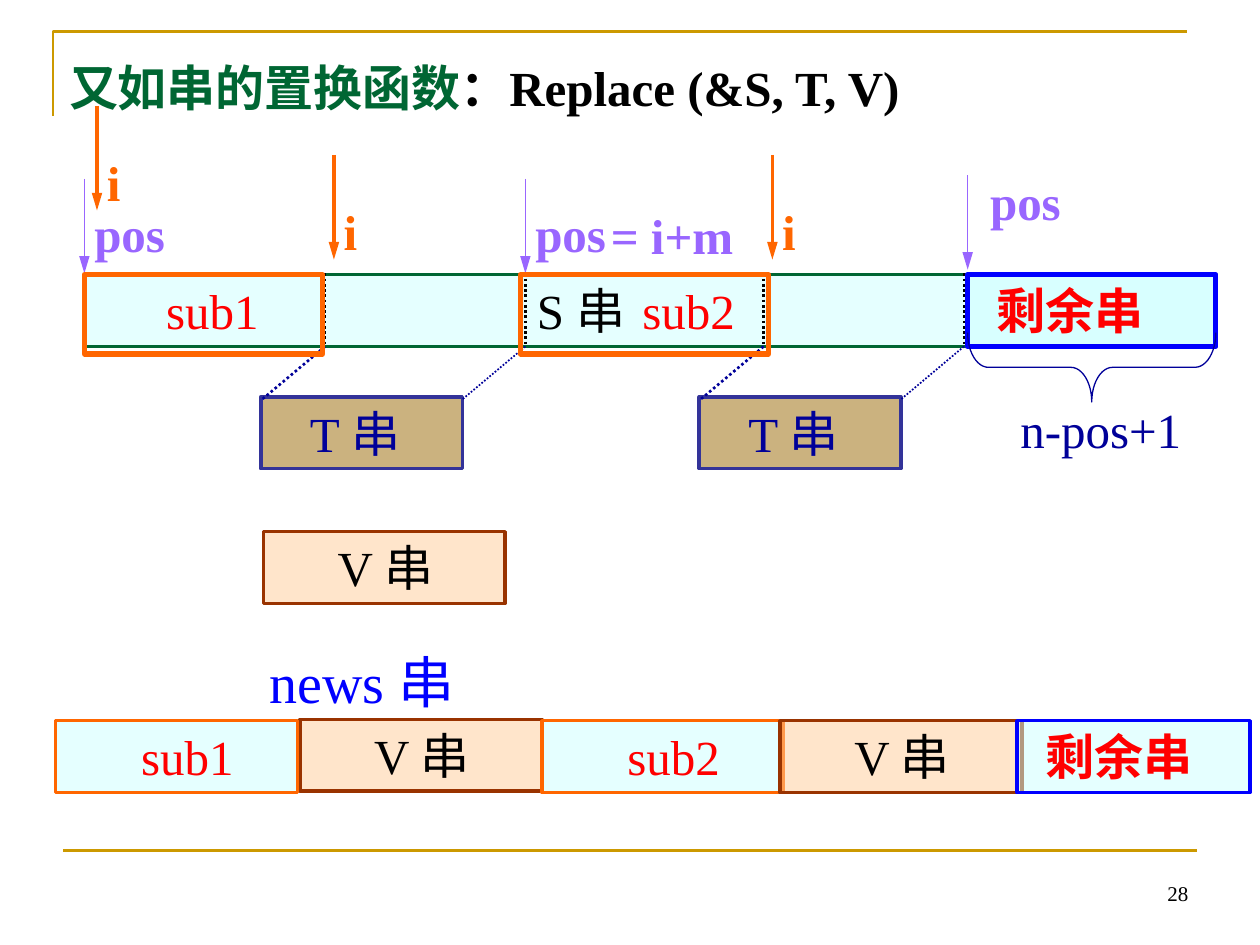
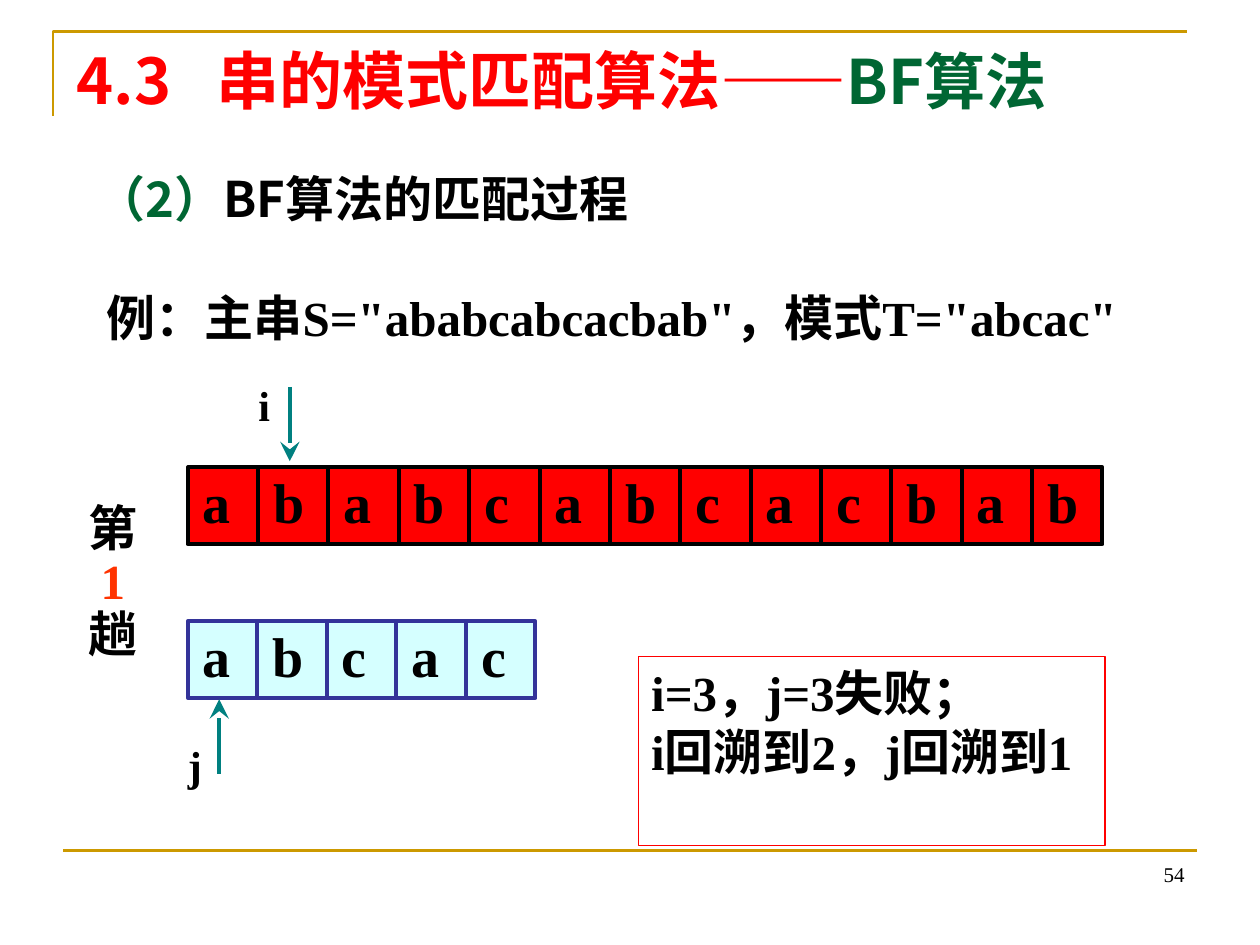
from lxml.etree import SubElement
from pptx import Presentation
from pptx.dml.color import RGBColor
from pptx.enum.dml import MSO_LINE_DASH_STYLE as DASH
from pptx.enum.shapes import MSO_CONNECTOR, MSO_SHAPE
from pptx.enum.text import MSO_ANCHOR, PP_ALIGN
from pptx.oxml.ns import qn
from pptx.util import Inches, Pt

COLORS = {
    "gold": "CC9900", "green": "006633", "black": "000000",
    "cyan": "CCFFFF", "pale_cyan": "D5FFFF", "brown": "996600", "indigo": "333399",
    "peach": "FFCC99", "rust": "993300", "navy": "000099", "violet": "9966FF",
    "orange": "FF6600", "red": "FF0000", "blue": "0000FF", "teal": "008080",
    "scarlet": "FF3300",
}
SERIF = "Times New Roman"
SANS = "Noto Sans CJK SC"
ROW_H = 0.57
HEAD_WIDTHS = {"triangle": "med", "stealth": "lg"}


def rgb(name):
    return RGBColor.from_string(COLORS[name])


def style_line(line, color, width):
    line.color.rgb = rgb(color)
    line.width = Pt(width)


def write(shape, paragraphs, color="black", size=28, bold=False, font=SERIF,
          align=PP_ALIGN.LEFT, pad=0, insets=(0.1, 0.05, 0.1, 0.05),
          spacing=None, tabs=()):
    frame = shape.text_frame
    frame.word_wrap = True
    frame.vertical_anchor = MSO_ANCHOR.TOP
    left, top, right, bottom = insets
    frame.margin_left, frame.margin_right = Inches(left + pad), Inches(right)
    frame.margin_top, frame.margin_bottom = Inches(top), Inches(bottom)
    for number, content in enumerate(paragraphs):
        paragraph = frame.add_paragraph() if number else frame.paragraphs[0]
        paragraph.alignment = align
        if spacing:
            paragraph.line_spacing = spacing
        if tabs:
            stops = SubElement(paragraph._p.get_or_add_pPr(), qn("a:tabLst"))
            for stop in tabs:
                SubElement(stops, qn("a:tab"), pos=str(Inches(stop)), algn="l")
        paragraph.font.name = font
        paragraph.font.size = Pt(size)
        paragraph.font.bold = bold
        if isinstance(content, str):
            paragraph.font.color.rgb = rgb(color)
            paragraph.add_run().text = content
        else:
            for words, run_color in content:
                run = paragraph.add_run()
                run.text = words
                run.font.color.rgb = rgb(run_color)
        defaults = paragraph._p.pPr.find(qn("a:defRPr"))
        SubElement(defaults, qn("a:ea"), typeface=SANS)


def label(slide, x, y, w, h, *paragraphs, **style):
    box = slide.shapes.add_textbox(Inches(x), Inches(y), Inches(w), Inches(h))
    write(box, paragraphs, **style)
    return box


def block(slide, x, y, w, h, line, width=2, fill=None, alpha=None, text=None, **style):
    box = slide.shapes.add_shape(MSO_SHAPE.RECTANGLE, Inches(x), Inches(y),
                                 Inches(w), Inches(h))
    box.shadow.inherit = False
    style_line(box.line, line, width)
    if fill:
        box.fill.solid()
        box.fill.fore_color.rgb = rgb(fill)
    else:
        box.fill.background()
    if alpha:
        tint = box._element.spPr.find(qn("a:solidFill"))[0]
        SubElement(tint, qn("a:alpha"), val=str(alpha * 1000))
    if text:
        write(box, text, **style)


def segment(slide, x1, y1, x2, y2, color, width, dash=None, head=None):
    link = slide.shapes.add_connector(MSO_CONNECTOR.STRAIGHT, Inches(x1), Inches(y1),
                                      Inches(x2), Inches(y2))
    style_line(link.line, color, width)
    if dash:
        link.line.dash_style = dash
    if head:
        SubElement(link.line._get_or_add_ln(), qn("a:tailEnd"), type=head,
                   w=HEAD_WIDTHS[head], len="lg")
    SubElement(link._element.spPr, qn("a:effectLst"))


def page(deck, number, number_x, number_y):
    slide = deck.slides.add_slide(deck.slide_layouts[6])
    outline = slide.shapes.build_freeform(Inches(0.42), Inches(0.92))
    outline.add_line_segments([(Inches(0.42), Inches(0.25)),
                               (Inches(9.42), Inches(0.25))], close=False)
    corner = outline.convert_to_shape()
    corner.shadow.inherit = False
    corner.fill.background()
    style_line(corner.line, "gold", 1.5)
    segment(slide, 0.5, 6.75, 9.5, 6.75, "gold", 1.5)
    footer = label(slide, number_x, number_y, 2.33, 0.5, number, size=12,
                   align=PP_ALIGN.RIGHT)
    footer.text_frame.vertical_anchor = MSO_ANCHOR.BOTTOM
    return slide


def v_string(slide, x, y):
    block(slide, x, y, 1.92, ROW_H, "rust", fill="peach", alpha=50,
          text=["V 串"], pad=0.49)


def substring(slide, x, name):
    block(slide, x, 5.72, 1.92, ROW_H, "orange", fill="cyan", alpha=50,
          text=[name], color="red", pad=0.58)


def remainder(slide, x, y, w, width):
    block(slide, x, y, w, ROW_H, "blue", width, fill="cyan", alpha=50,
          text=["剩余串"], color="red", bold=True, font=SANS, pad=0.13)


def i_pointer(slide, x, y):
    segment(slide, x, y, x, y + 0.83, "orange", 2, head="triangle")
    label(slide, x - 0.02, y + 0.32, 0.4, ROW_H, "i", color="orange", bold=True)


def pos_pointer(slide, x, y, label_dx, label_dy):
    segment(slide, x, y, x, y + 0.75, "violet", 0.75, head="triangle")
    label(slide, x + label_dx, y + label_dy, 0.94, ROW_H, "pos", color="violet",
          bold=True)


def t_match(slide, x):
    block(slide, x, 3.15, 1.6, ROW_H, "indigo", fill="brown", alpha=50,
          text=["T 串"], color="navy", pad=0.29)
    for edge, corner, width in ((x + 0.51, x + 0.01, 1.5), (x + 2.1, x + 1.6, 1)):
        segment(slide, edge, 2.17, edge, 2.75, "black", 1.5, DASH.ROUND_DOT)
        segment(slide, edge, 2.75, corner, 3.17, "navy", width, DASH.ROUND_DOT)
    i_pointer(slide, x + 0.58, 1.23)


def remainder_brace(slide):
    brace = slide.shapes.add_shape(MSO_SHAPE.LEFT_BRACE, Inches(8.39), Inches(1.93),
                                   Inches(0.55), Inches(1.97))
    brace.rotation = 270
    brace.adjustments[0] = 0.3
    brace.shadow.inherit = False
    brace.fill.background()
    style_line(brace.line, "navy", 0.75)
    label(slide, 8, 3.12, 1.8, ROW_H, "n-pos+1", color="navy")


def letter_row(slide, y, w, letters, line, fill):
    x, h = 1.49, 0.61
    pitch = w / len(letters)
    steps = [pitch * n for n in range(1, len(letters))]
    block(slide, x, y, w, h, line, 2.25, fill=fill, text=["\t".join(letters)],
          size=32, bold=True, insets=(0.12, 0, 0.02, 0), tabs=steps)
    for step in steps:
        segment(slide, x + step, y, x + step, y + h, line, 2.25)


def index_pointer(slide, name, x, start, end, label_y):
    segment(slide, x, start, x, end, "teal", 2.25, head="stealth")
    label(slide, x - 0.25, label_y, 0.25, 0.5, name, size=24, bold=True,
          insets=(0, 0.05, 0, 0.05))


def replace_slide(deck):
    slide = page(deck, "28", 7.2, 6.74)
    label(slide, 0.45, 0.41, 7.2, ROW_H,
          [("又如串的置换函数", "green"), ("：Replace (&S, T, V)", "black")], bold=True)
    block(slide, 0.67, 2.18, 8.98, ROW_H, "green", fill="cyan", alpha=50,
          text=["S 串"], pad=3.49)
    for x in (2.07, 5.55):
        t_match(slide, x)
    i_pointer(slide, 0.77, 0.84)
    for x, y, dx, dy in ((0.67, 1.42, -0.02, 0.15), (4.17, 1.42, -0.02, 0.15),
                         (7.68, 1.39, 0.08, -0.08)):
        pos_pointer(slide, x, y, dx, dy)
    label(slide, 4.75, 1.58, 1.35, ROW_H, "= i+m", color="violet", bold=True)
    for x, w, name, name_x in ((0.67, 1.89, "sub1", 1.22), (4.13, 1.97, "sub2", 5)):
        label(slide, name_x, 2.18, 1.18, ROW_H, name, color="red")
        block(slide, x, 2.18, w, 0.63, "orange", 3)
    remainder(slide, 7.68, 2.18, 1.97, 3)
    remainder_brace(slide)

    v_string(slide, 2.09, 4.22)
    label(slide, 2.04, 5.09, 2, 0.64, "news 串", color="blue", size=32)
    v_string(slide, 2.38, 5.71)
    substring(slide, 0.44, "sub1")
    substring(slide, 4.3, "sub2")
    v_string(slide, 6.19, 5.72)
    remainder(slide, 8.07, 5.72, 1.85, 2)


def matching_slide(deck):
    slide = page(deck, "54", 7.17, 6.59)
    heading = label(slide, 0.51, 0.28, 9, 0.91,
                    [("4.3\t串的模式匹配算法——", "red"), ("BF算法", "green")],
                    size=36, bold=True, font=SANS, tabs=[1.11])
    heading.text_frame.paragraphs[0].runs[1].font.size = Pt(35)
    label(slide, 0.67, 1.15, 8.86, 0.94,
          [("（2）", "green"), ("BF算法的匹配过程", "black")],
          bold=True, font=SANS, spacing=1.3)
    label(slide, 0.75, 2.23, 8.92, ROW_H, '例：主串S="ababcabcacbab"，模式T="abcac"',
          bold=True, align=PP_ALIGN.JUSTIFY)
    letter_row(slide, 3.71, 7.26, "ababcabcacbab", "black", "red")
    letter_row(slide, 4.93, 2.76, "abcac", "indigo", "pale_cyan")
    index_pointer(slide, "i", 2.3, 3.07, 3.66, 2.96)
    index_pointer(slide, "j", 1.74, 6.14, 5.55, 5.82)
    attempt = label(slide, 0.6, 3.95, 0.71, 1.36, "第", [("1", "scarlet")], "趟",
                    bold=True, spacing=0.9)
    attempt.text_frame.paragraphs[1]._p.pPr.set("marL", str(Inches(0.1)))
    block(slide, 5.07, 5.21, 3.7, 1.5, "red", 0.75,
          text=["i=3，j=3失败；", "i回溯到2，j回溯到1"], bold=True,
          align=PP_ALIGN.JUSTIFY)


def main():
    deck = Presentation()
    deck.slide_width, deck.slide_height = Inches(10), Inches(7.5)
    replace_slide(deck)
    matching_slide(deck)
    deck.save("out.pptx")


if __name__ == "__main__":
    main()
